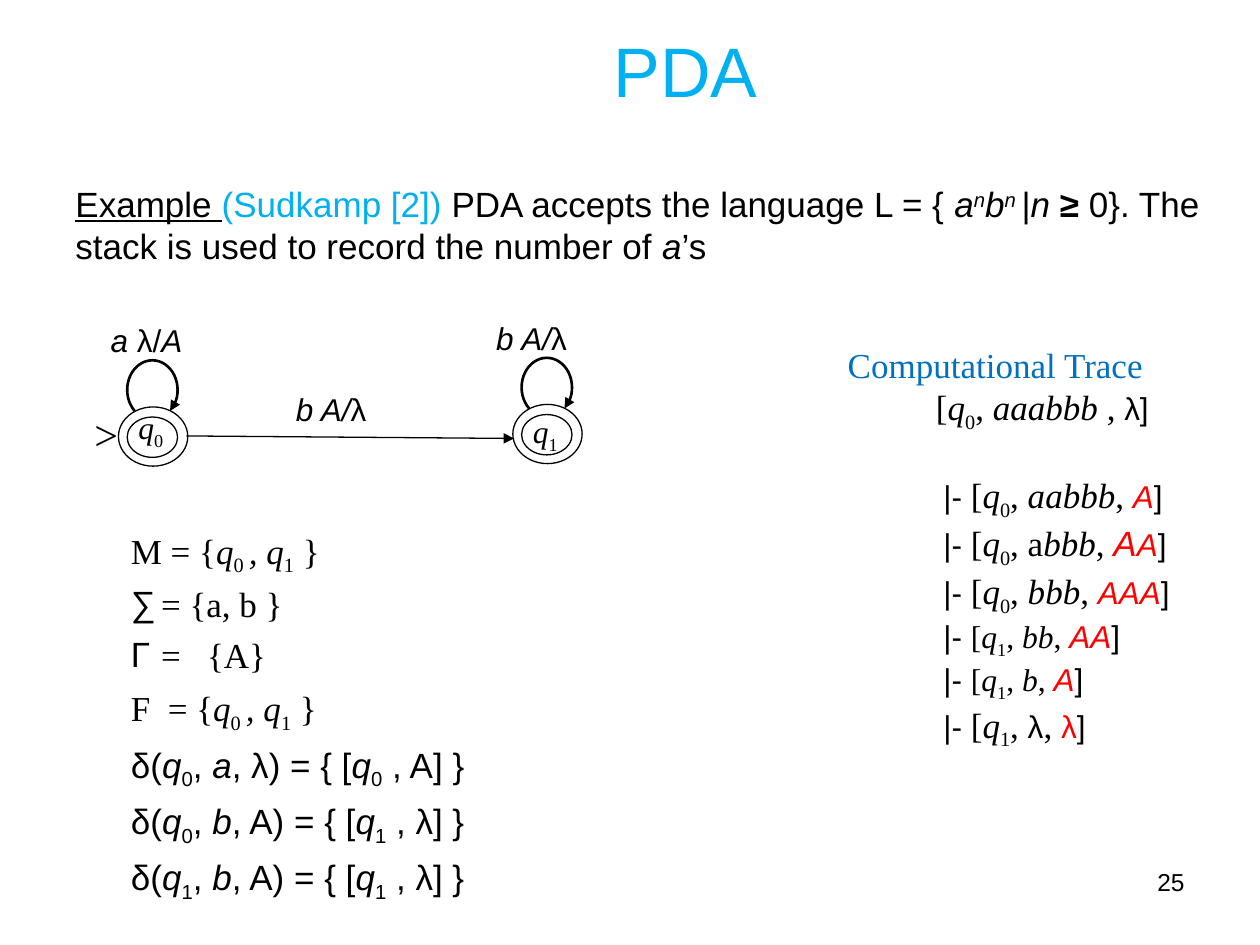
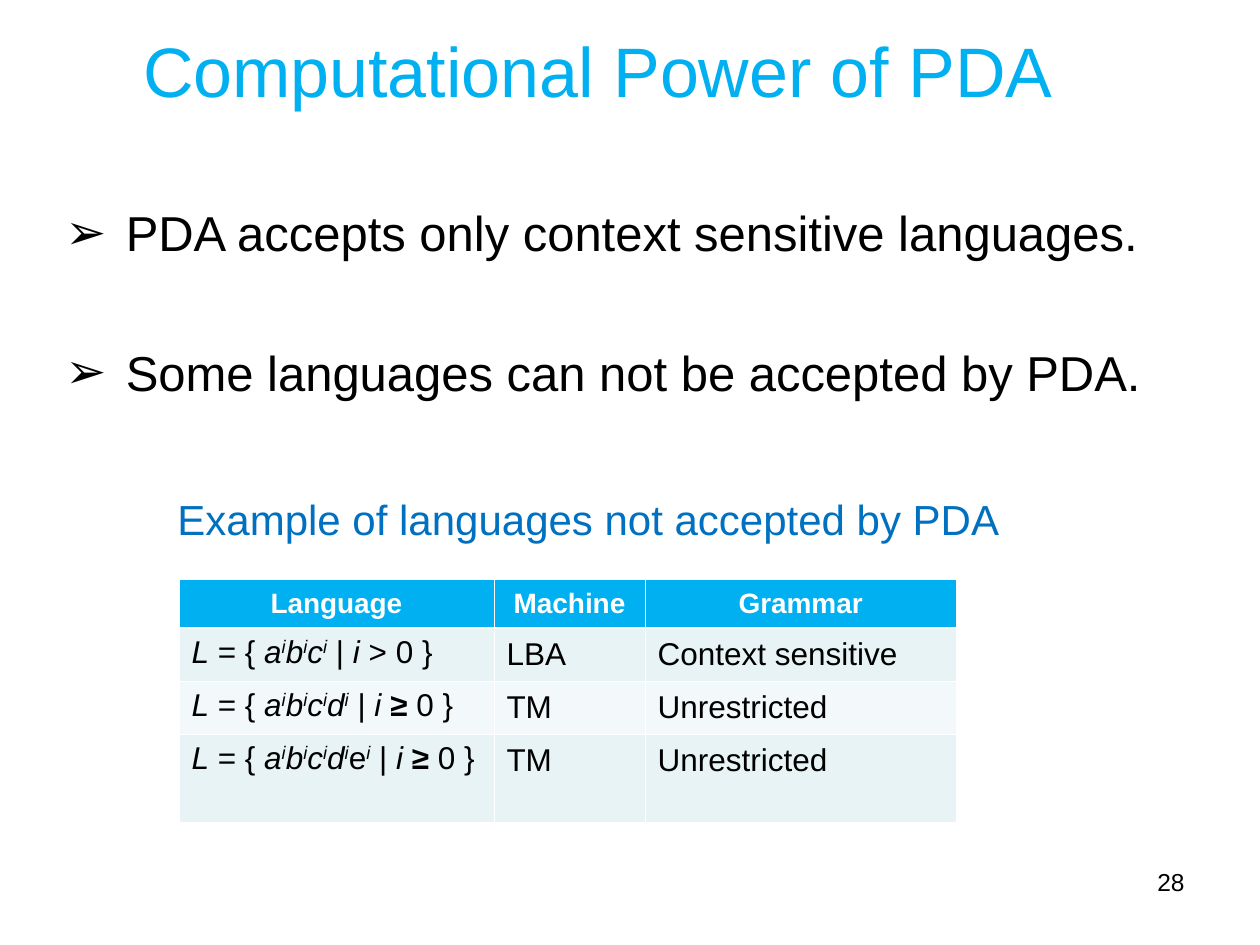
from lxml import etree
from pptx import Presentation
from pptx import util as u
from pptx.dml.color import RGBColor
from pptx.enum import shapes, text
from pptx.oxml import ns

PX = 9144
COLORS = {
    "title": "00B0F0",
    "heading": "0070C0",
    "ink": "000000",
    "stack": "FF0000",
    "white": "FFFFFF",
    "odd_row": "E7F3F4",
    "even_row": "F3F9FA",
}
SANS, SERIF = "Arial", "Times New Roman"
LEFT, CENTER, RIGHT = text.PP_ALIGN.LEFT, text.PP_ALIGN.CENTER, text.PP_ALIGN.RIGHT
RUN_XML = {
    "^": ("baseline", "30000"),
    "_": ("baseline", "-25000"),
    "w": ("spc", "500"),
    "W": ("spc", "1000"),
}


def px(length):
    return u.Emu(length * PX)


def rgb(name):
    return RGBColor.from_string(COLORS[name])


def add_xml(parent, tag, **attributes):
    return etree.SubElement(parent, ns.qn(tag), attributes)


def write(paragraph, runs, size, color="ink", font=SANS, align=LEFT):
    paragraph.alignment = align
    for content, flags in [(runs, "")] if isinstance(runs, str) else runs:
        run = paragraph.add_run()
        run.text = content
        run.font.size = u.Pt(20 if "L" in flags else size)
        run.font.name = SERIF if "t" in flags else font
        run.font.italic = "i" in flags
        run.font.bold = "b" in flags
        run.font.underline = "u" in flags
        run.font.color.rgb = rgb("stack" if "r" in flags else "title" if "c" in flags else color)
        for flag in RUN_XML.keys() & set(flags):
            run._r.get_or_add_rPr().set(*RUN_XML[flag])


def add_frame(slide, left, top, width, height):
    frame = slide.shapes.add_textbox(px(left), px(top), px(width), px(height)).text_frame
    frame.word_wrap = True
    return frame


def add_line(slide, box, runs, size, **style):
    frame = add_frame(slide, *box)
    write(frame.paragraphs[0], runs, size, **style)
    return frame


def paragraphs(frame, count):
    return [frame.paragraphs[0]] + [frame.add_paragraph() for _ in range(count - 1)]


def indent(paragraph, margin, first=0, bullet=None):
    properties = paragraph._p.get_or_add_pPr()
    properties.set("marL", str(margin * PX))
    properties.set("indent", str(first * PX))
    if bullet:
        add_xml(add_xml(properties, "a:buClr"), "a:srgbClr", val=COLORS["ink"])
        add_xml(properties, "a:buFont", typeface=SANS)
        add_xml(properties, "a:buChar", char=bullet)


def state_name(index, flags=""):
    return [("q", "i" + flags), (index, "_" + flags)]


def add_base(slide, title, title_box, number):
    frame = add_line(slide, title_box, title, 40, color="title", align=CENTER)
    frame.vertical_anchor = text.MSO_ANCHOR.MIDDLE
    add_line(slide, (717, 683, 233, 52), number, 14, align=RIGHT)


def add_outline(slide, kind, box, weight):
    outline = slide.shapes.add_shape(kind, *map(px, box))
    outline.shadow.inherit = False
    outline.fill.background()
    outline.line.color.rgb = rgb("ink")
    outline.line.width = u.Pt(weight)
    return outline


def add_arrowhead(shape):
    add_xml(shape._element.spPr.find(ns.qn("a:ln")), "a:tailEnd", type="triangle")


def add_state(slide, left, top, index, name_drop, loop_label, label_shift):
    oval = shapes.MSO_SHAPE.OVAL
    add_outline(slide, oval, (left, top, 55, 47), 0.75)
    add_outline(slide, oval, (left + 7, top + 8, 40, 32), 0.75)
    add_line(slide, (left + 6, top + name_drop, 58, 44), state_name(index), 18, font=SERIF)
    loop = add_outline(slide, shapes.MSO_SHAPE.ARC, (left + 7, top - 37, 40, 47), 1.5)
    for position, degrees in enumerate((130, 50)):
        loop.adjustments[position] = degrees * 0.6
    add_arrowhead(loop)
    add_line(slide, (left + label_shift, top - 73, 140, 40), loop_label, 18)


def add_automaton(slide, left, top):
    pop_label = [("b A/", "i"), ("λ", "")]
    push_label = [("a ", "i"), ("λ/", ""), ("A", "i")]
    add_line(slide, (left, top + 72, 39, 50), ">", 24, font=SERIF)
    add_state(slide, left + 29, top + 76, "0", -4, push_label, -16)
    add_state(slide, left + 342, top + 74, "1", 1, pop_label, -23)
    step = slide.shapes.add_connector(
        shapes.MSO_CONNECTOR.STRAIGHT,
        *map(px, (left + 83, top + 99, left + 343, top + 101)))
    step.line.color.rgb = rgb("ink")
    step.line.width = u.Pt(0.75)
    add_arrowhead(step)
    add_xml(step._element.spPr, "a:effectLst")
    add_line(slide, (left + 160, top + 58, 140, 40), pop_label, 18)


def add_trace(slide, left, top):
    steps = [
        ("0", "tL", [(", ", "tL"), ("aabbb", "itL"), (", ", "tL"), ("A", "ir")]),
        ("0", "tL", [(", a", "tL"), ("bbb", "itL"), (", ", "tL"), ("A", "irL"), ("A", "ir")]),
        ("0", "tL", [(", ", "tL"), ("bbb", "itL"), (", ", "tL"), ("AAA", "ir")]),
        ("1", "t", [(", ", "t"), ("bb", "it"), (", ", "t"), ("AA", "ir")]),
        ("1", "t", [(", ", "t"), ("b", "it"), (", ", "t"), ("A", "ir")]),
        ("1", "tL", [(", ", "tL"), ("λ", ""), (", ", "tL"), ("λ", "r")]),
    ]
    frame = add_frame(slide, left, top, 290, 335)
    heading, start, *lines = paragraphs(frame, len(steps) + 2)
    write(heading, "Computational Trace", 20, color="heading", font=SERIF)
    write(start, [("[", "tL"), *state_name("0", "tL"), (", ", "tL"),
                  ("aaabbb ", "itL"), (", ", "tL"), ("λ]", "")], 18)
    indent(start, 70)
    lines[0].space_before = u.Pt(23)
    for line, (index, flags, rest) in zip(lines, steps):
        write(line, [("|- ", ""), ("[", flags), *state_name(index, flags), *rest, ("]", "")], 18)
        indent(line, 76)


def add_definition(slide, left, top):
    both_states = [("q", "i"), ("0 ", "_"), (", q", "i"), ("1", "_"), (" }", "")]
    sets = [
        ([("M = {", ""), *both_states], None),
        ([("= {a, b }", "")], "∑"),
        ([("=", ""), (" ", "W"), ("{A}", "")], "Γ"),
        ([("F", ""), (" ", "w"), ("= {", ""), *both_states], None),
    ]
    moves = [("0", "a", "λ", "0", "A"), ("0", "b", "A", "1", "λ"), ("1", "b", "A", "1", "λ")]
    lines = paragraphs(add_frame(slide, left, top, 440, 310), len(sets) + len(moves))
    for line in lines:
        line.line_spacing = 0.95
        line.space_before = u.Pt(6.2)
    for line, (runs, bullet) in zip(lines, sets):
        write(line, runs, 20, font=SERIF)
        if bullet:
            indent(line, 24, -24, bullet)
    for line, (source, symbol, popped, target, pushed) in zip(lines[len(sets):], moves):
        write(line, [("δ(", ""), *state_name(source), (", ", ""), (symbol, "i"),
                     (f", {popped}) = {{ [", ""), *state_name(target),
                     (f" , {pushed}] }}", "")], 20)


def add_claims(slide, left, top):
    claims = ("PDA accepts only context sensitive languages.",
              "Some languages can not be accepted by PDA.")
    lines = paragraphs(add_frame(slide, left, top, 900, 170), len(claims))
    lines[1].space_before = u.Pt(46)
    for line, claim in zip(lines, claims):
        write(line, claim, 28)
        indent(line, 48, -48, "➢")


def language(letters, relation):
    powers = [run for letter in letters
              for run in ((letter, "" if letter == "e" else "i"), ("i", "i^"))]
    return [("L", "i"), (" = { ", ""), *powers, (" | ", ""), ("i ", "i"),
            (relation, "b" if relation == "≥" else ""), (" 0 }", "")]


def add_borders(cell, bottom):
    properties = cell._tc.get_or_add_tcPr()
    for side, weight in (("L", 0.45), ("R", 0.45), ("T", 0.45), ("B", bottom)):
        border = add_xml(properties, f"a:ln{side}", w=str(int(u.Pt(weight))))
        add_xml(add_xml(border, "a:solidFill"), "a:srgbClr", val=COLORS["white"])


def add_languages(slide, left, top):
    rows = [
        ["Language", "Machine", "Grammar"],
        [language("abc", ">"), "LBA", "Context sensitive"],
        [language("abcd", "≥"), "TM", "Unrestricted"],
        [language("abcde", "≥"), "TM", "Unrestricted"],
    ]
    widths, heights = (250, 120, 247), (38, 42, 42, 70)
    languages = slide.shapes.add_table(
        len(rows), len(widths), *map(px, (left, top, sum(widths), sum(heights)))).table
    languages.horz_banding = False
    for column, width in zip(languages.columns, widths):
        column.width = px(width)
    for r, (row, height) in enumerate(zip(rows, heights)):
        languages.rows[r].height = px(height)
        for c, content in enumerate(row):
            cell = languages.cell(r, c)
            add_borders(cell, 0.45 if r else 1.47)
            cell.fill.solid()
            cell.fill.fore_color.rgb = rgb(
                "title" if r == 0 else "odd_row" if r % 2 else "even_row")
            line = cell.text_frame.paragraphs[0]
            if r == 0:
                write(line, [(content, "b")], 16, color="white", align=CENTER)
            else:
                write(line, content, 18)
            if r == 0 or c > 0:
                line.line_spacing = 1.07


def build_example(slide):
    add_base(slide, "PDA", (382, 24, 324, 63), "25")
    add_line(slide, (50, 140, 925, 80), [
        ("Example ", "u"), ("(Sudkamp [2]) ", "c"), ("PDA accepts the language L = { ", ""),
        ("a", "i"), ("n", "i^"), ("b", "i"), ("n ", "i^"), ("|", ""), ("n ", "i"), ("≥ ", "b"),
        ("0}. The stack is used to record the number of ", ""), ("a", "i"), ("’s", "")], 20)
    add_trace(slide, 663, 268)
    add_definition(slide, 94, 415)
    add_automaton(slide, 65, 247)


def build_power(slide):
    add_base(slide, "Computational Power of PDA", (83, 24, 783, 63), "28")
    add_claims(slide, 42, 156)
    add_line(slide, (17, 387, 900, 52), "Example of languages not accepted by PDA", 24,
             color="heading", align=CENTER)
    add_languages(slide, 142, 460)


def main():
    deck = Presentation()
    deck.slide_width, deck.slide_height = px(1000), px(750)
    for build in (build_example, build_power):
        build(deck.slides.add_slide(deck.slide_layouts[6]))
    deck.save("out.pptx")


if __name__ == "__main__":
    main()
